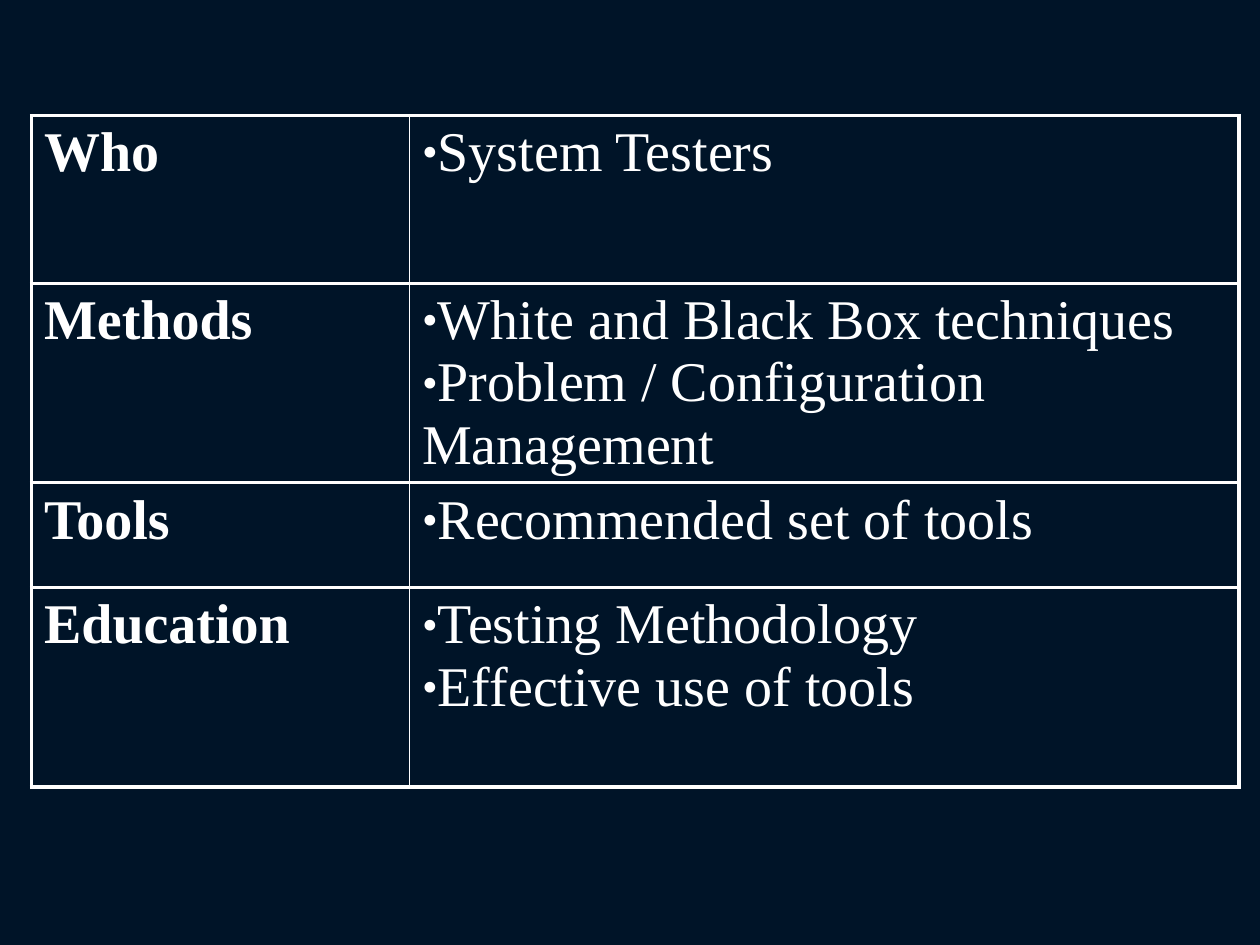
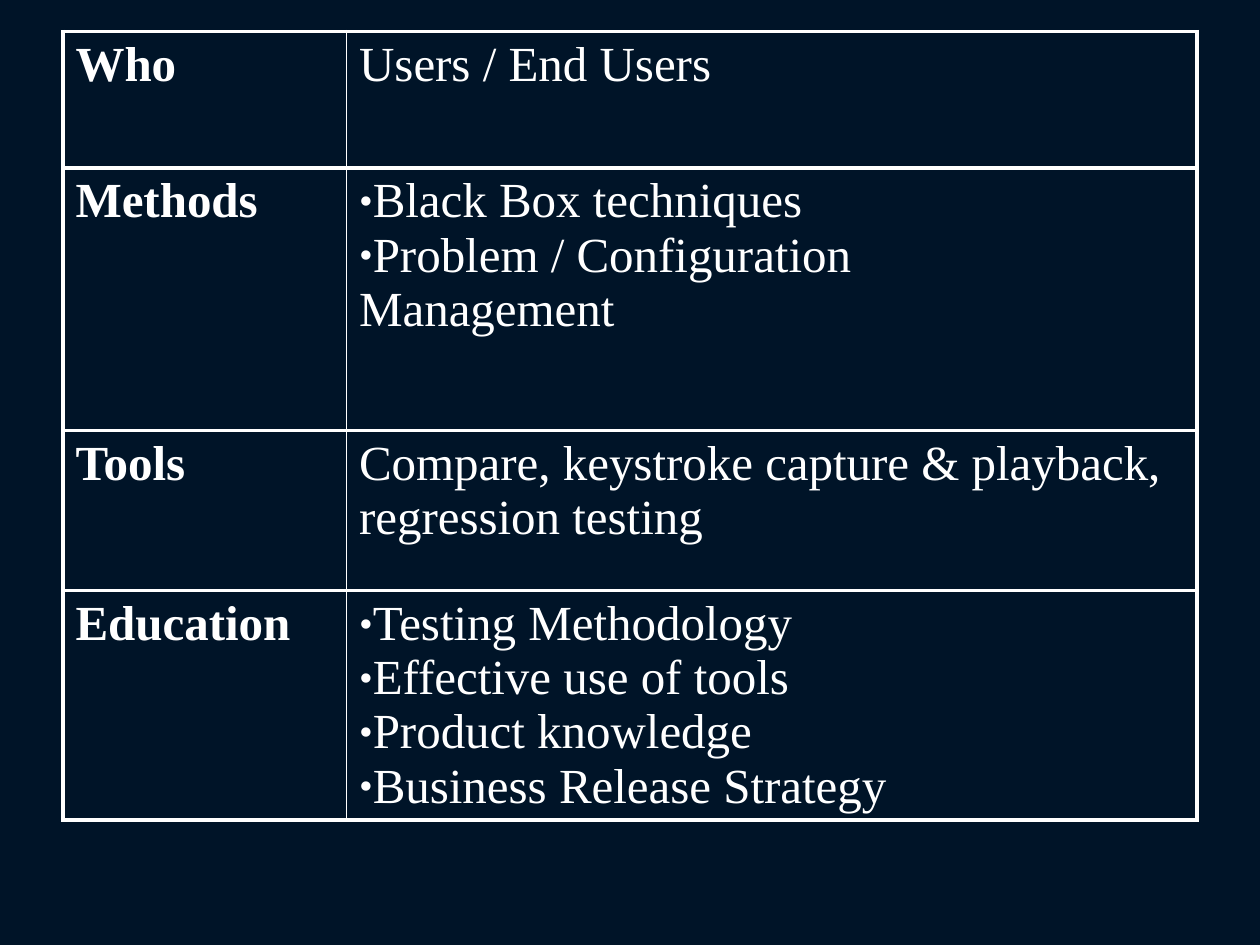
"""Build two slides that tabulate who, methods, tools and education for testing levels."""
from dataclasses import dataclass

from lxml.etree import SubElement as add_element
from pptx import Presentation
from pptx.dml.color import RGBColor
from pptx.oxml.ns import qn
from pptx.util import Pt

LABELS = ("Who", "Methods", "Tools", "Education")
BULLET = "•"

TESTING_TABLES = [
    {
        "origin": (18, 66),
        "columns": (216, 474),
        "rows": (96, 78, 60, 114),
        "size": 32,
        "details": [
            ["•System Testers"],
            ["•White and Black Box techniques", "•Problem / Configuration Management"],
            ["•Recommended set of tools"],
            ["•Testing Methodology", "•Effective use of tools"],
        ],
    },
    {
        "origin": (36, 18),
        "columns": (162, 486),
        "rows": (78, 150, 91.5, 113),
        "size": 28,
        "details": [
            ["Users / End Users"],
            ["•Black Box techniques", "•Problem / Configuration", "Management"],
            ["Compare, keystroke capture & playback, regression testing"],
            ["•Testing Methodology", "•Effective use of tools",
             "•Product knowledge", "•Business Release Strategy"],
        ],
    },
]


@dataclass(frozen=True)
class Theme:
    background: str = "001428"
    ink: str = "FFFFFF"
    font: str = "Times New Roman"
    bullet_percent: int = 80
    frame_line: float = 2.25
    divider_line: float = 1


THEME = Theme()


def add_solid_colour(parent, colour):
    add_element(add_element(parent, qn("a:solidFill")), qn("a:srgbClr"), val=colour)


def add_bullet(para):
    properties = para._p.get_or_add_pPr()
    properties.set("marL", "0")
    properties.set("indent", "0")
    colour = add_element(properties, qn("a:buClr"))
    add_element(colour, qn("a:srgbClr"), val=THEME.ink)
    add_element(properties, qn("a:buSzPct"), val=str(THEME.bullet_percent * 1000))
    add_element(properties, qn("a:buFont"), typeface=THEME.font)
    add_element(properties, qn("a:buChar"), char=BULLET)


def write_text(frame, lines, *, size, bold=False):
    for index, line in enumerate(lines):
        para = frame.paragraphs[0] if index == 0 else frame.add_paragraph()
        if line.startswith(BULLET):
            add_bullet(para)
        span = para.add_run()
        span.text = line.removeprefix(BULLET)
        span.font.name = THEME.font
        span.font.size = Pt(size)
        span.font.bold = bold
        span.font.color.rgb = RGBColor.from_string(THEME.ink)


def draw_borders(cell, left, right):
    properties = cell._tc.get_or_add_tcPr()
    sides = {"L": left, "R": right, "T": THEME.frame_line, "B": THEME.frame_line}
    for side, width in sides.items():
        line = add_element(properties, qn(f"a:ln{side}"), w=str(int(Pt(width))))
        add_solid_colour(line, THEME.ink)
    cell.fill.background()


def add_testing_table(page, content):
    columns, rows = content["columns"], content["rows"]
    left, top = content["origin"]
    table = page.shapes.add_table(
        len(rows), len(columns), Pt(left), Pt(top), Pt(sum(columns)), Pt(sum(rows))
    ).table
    table.first_row = table.horz_banding = False
    for column, width in zip(table.columns, columns):
        column.width = Pt(width)
    for row, height, label, details in zip(table.rows, rows, LABELS, content["details"]):
        row.height = Pt(height)
        label_cell, detail_cell = row.cells
        write_text(label_cell.text_frame, [label], size=content["size"], bold=True)
        write_text(detail_cell.text_frame, details, size=content["size"])
        draw_borders(label_cell, THEME.frame_line, THEME.divider_line)
        draw_borders(detail_cell, THEME.divider_line, THEME.frame_line)


def main():
    deck = Presentation()
    deck.slide_width, deck.slide_height = Pt(720), Pt(540)
    backdrop = deck.slide_master.background.fill
    backdrop.solid()
    backdrop.fore_color.rgb = RGBColor.from_string(THEME.background)
    for content in TESTING_TABLES:
        page = deck.slides.add_slide(deck.slide_layouts[6])
        add_testing_table(page, content)
    deck.save("out.pptx")


if __name__ == "__main__":
    main()
